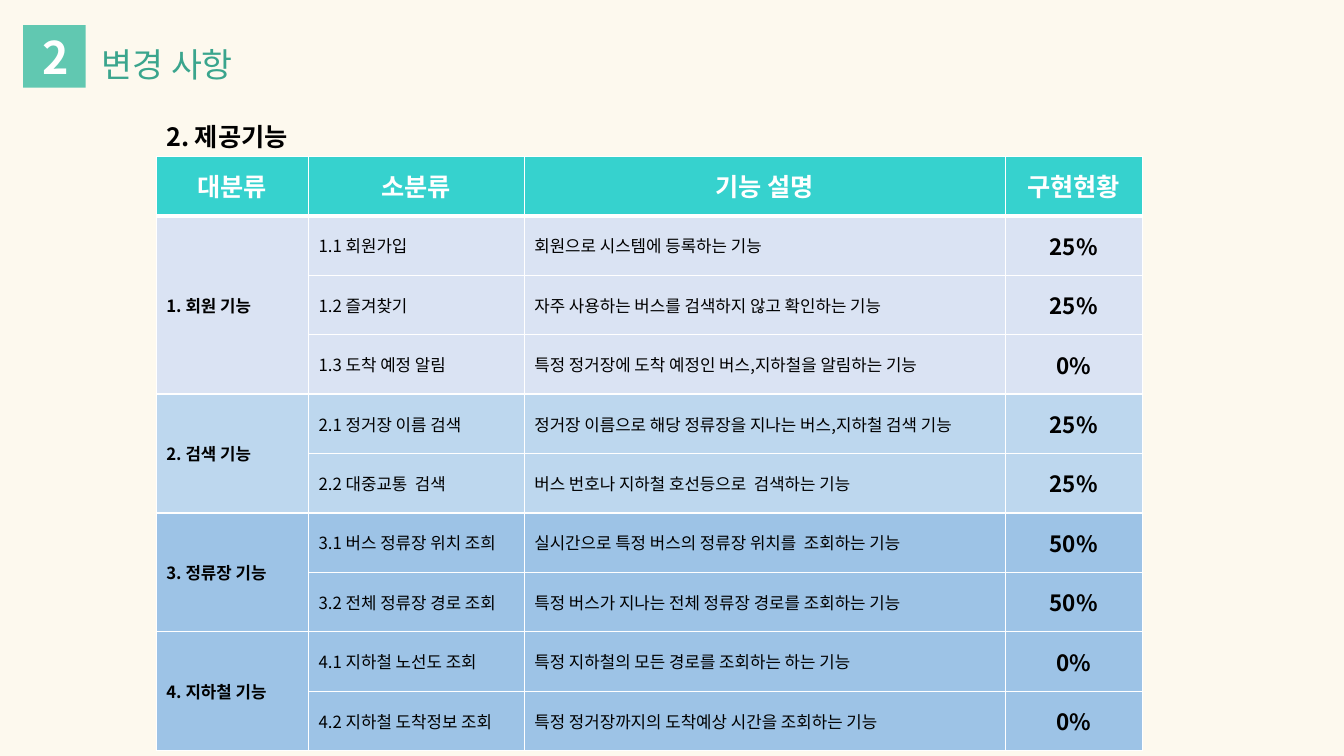
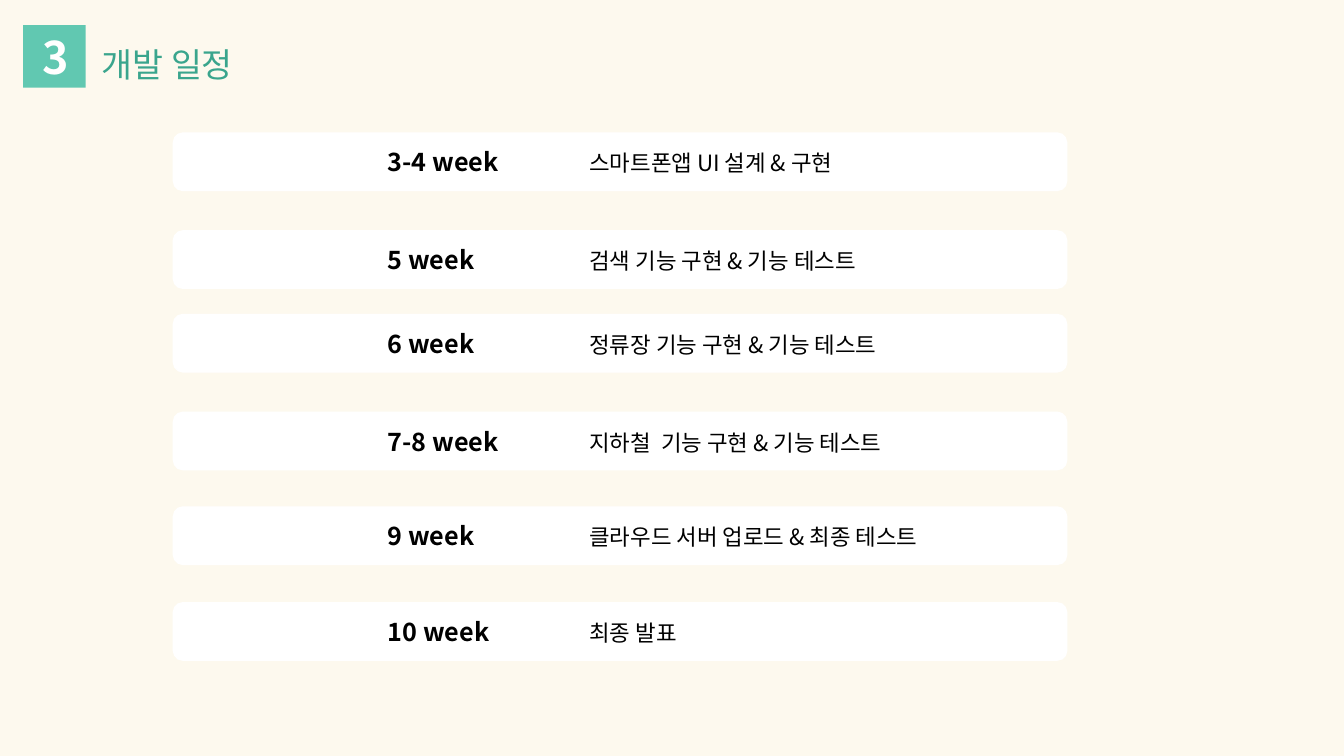
from lxml import etree
from pptx import Presentation
from pptx.dml.color import RGBColor
from pptx.enum import shapes, text
from pptx.oxml.ns import qn
from pptx.util import Inches, Pt

FONT = "Noto Sans CJK KR"
C = {"cream": "FDF9EE", "mint": "61C8B1", "title": "3AA58D", "white": "FFFFFF",
     "black": "000000", "header": "36D2CE", "member": "DAE3F3",
     "search": "BDD7EE", "transit": "9DC3E6"}

HEADINGS = [("2", "변경 사항"), ("3", "개발 일정")]
COLUMNS = [("대분류", 1.51), ("소분류", 2.14), ("기능 설명", 4.77), ("구현현황", 1.36)]
FEATURES = [
    ("1. 회원 기능", "member", [
        ("1.1 회원가입", "회원으로 시스템에 등록하는 기능", "25%"),
        ("1.2 즐겨찾기", "자주 사용하는 버스를 검색하지 않고 확인하는 기능", "25%"),
        ("1.3 도착 예정 알림", "특정 정거장에 도착 예정인 버스,지하철을 알림하는 기능", "0%")]),
    ("2. 검색 기능", "search", [
        ("2.1 정거장 이름 검색", "정거장 이름으로 해당 정류장을 지나는 버스,지하철 검색 기능", "25%"),
        ("2.2 대중교통  검색", "버스 번호나 지하철 호선등으로  검색하는 기능", "25%")]),
    ("3. 정류장 기능", "transit", [
        ("3.1 버스 정류장 위치 조희", "실시간으로 특정 버스의 정류장 위치를  조회하는 기능", "50%"),
        ("3.2 전체 정류장 경로 조회", "특정 버스가 지나는 전체 정류장 경로를 조회하는 기능", "50%")]),
    ("4. 지하철 기능", "transit", [
        ("4.1 지하철 노선도 조회", "특정 지하철의 모든 경로를 조회하는 하는 기능", "0%"),
        ("4.2 지하철 도착정보 조회", "특정 정거장까지의 도착예상 시간을 조회하는 기능", "0%")]),
]
WEEKS = [
    (1.32, "3-4 week", "스마트폰앱 UI 설계 & 구현"),
    (2.29, "5 week", "검색 기능 구현 & 기능 테스트"),
    (3.12, "6 week", "정류장 기능 구현 & 기능 테스트"),
    (4.09, "7-8 week", "지하철  기능 구현 & 기능 테스트"),
    (5.03, "9 week", "클라우드 서버 업로드 & 최종 테스트"),
    (5.98, "10 week", "최종 발표"),
]


def add_run(p, words, size, color="black", bold=False):
    r = p.add_run()
    r.text = words
    r.font.size = Pt(size)
    r.font.bold = bold
    r.font.name = FONT
    r.font.color.rgb = RGBColor.from_string(C[color])
    rpr = r.font._element
    etree.SubElement(rpr, qn("a:ea")).set("typeface", FONT)
    return rpr


def add_text(s, box, words, size, color, bold=False, wrap=False):
    tf = s.shapes.add_textbox(*map(Inches, box)).text_frame
    tf.word_wrap = wrap
    tf.auto_size = text.MSO_AUTO_SIZE.SHAPE_TO_FIT_TEXT
    p = tf.paragraphs[0]
    return p, add_run(p, words, size, color, bold)


prs = Presentation()
prs.slide_width, prs.slide_height = Inches(13.33), Inches(7.5)

# Background, number badge and title of every slide
slides = []
for number, title in HEADINGS:
    s = prs.slides.add_slide(prs.slide_layouts[6])
    s.background.fill.solid()
    s.background.fill.fore_color.rgb = RGBColor.from_string(C["cream"])
    add_text(s, (0.91, 0.39, 1.62, 0.5), title, 24, "title")
    badge = s.shapes.add_shape(shapes.MSO_SHAPE.RECTANGLE, Inches(0.23), Inches(0.25),
                               Inches(0.62), Inches(0.62))
    badge.shadow.inherit = False
    badge.fill.solid()
    badge.fill.fore_color.rgb = RGBColor.from_string(C["mint"])
    badge.line.fill.background()
    p, rpr = add_text(s, (0.32, 0.25, 0.41, 0.64), number, 32, "white", bold=True)
    p.alignment = text.PP_ALIGN.CENTER
    rpr.set("spc", "-150")
    slides.append(s)
features_slide, schedule_slide = slides

# Feature table
add_text(features_slide, (1.55, 1.15, 5.55, 0.4), "2. 제공기능", 18, "black",
         bold=True, wrap=True)
rows = [([name for name, _ in COLUMNS], "header")]
merges = []
for group, fill, items in FEATURES:
    merges.append((len(rows), len(rows) + len(items) - 1))
    for i, item in enumerate(items):
        rows.append(([group if i == 0 else "", *item], fill))

table = features_slide.shapes.add_table(len(rows), len(COLUMNS), Inches(1.55), Inches(1.55),
                                        Inches(9.78), Inches(5.89)).table
for column, (_, width) in zip(table.columns, COLUMNS):
    column.width = Inches(width)
for row in table.rows:
    row.height = Inches(0.59)

for i, (words, fill) in enumerate(rows):
    for j, word in enumerate(words):
        cell = table.cell(i, j)
        cell.vertical_anchor = text.MSO_ANCHOR.MIDDLE
        tcpr = cell._tc.get_or_add_tcPr()
        for side in ("L", "R", "T", "B"):
            thick = (i, side) in ((0, "B"), (1, "T"))
            ln = etree.SubElement(tcpr, qn(f"a:ln{side}"), w=str(Pt(3 if thick else 1)))
            line_fill = etree.SubElement(ln, qn("a:solidFill"))
            etree.SubElement(line_fill, qn("a:srgbClr"), val=C["white"])
        cell.fill.solid()
        cell.fill.fore_color.rgb = RGBColor.from_string(C[fill])
        if not word:
            continue
        p = cell.text_frame.paragraphs[0]
        if i == 0 or j == 3:
            p.alignment = text.PP_ALIGN.CENTER
        size = 18 if i == 0 else 16 if j == 3 else 12
        add_run(p, word, size, "white" if i == 0 else "black", bold=i == 0 or j in (0, 3))
for first, last in merges:
    table.cell(first, 0).merge(table.cell(last, 0))

# Weekly schedule
for top, week, task in WEEKS:
    sp = schedule_slide.shapes.add_shape(shapes.MSO_SHAPE.ROUNDED_RECTANGLE, Inches(1.72),
                                         Inches(top), Inches(8.86), Inches(0.57))
    sp.shadow.inherit = False
    sp.fill.solid()
    sp.fill.fore_color.rgb = RGBColor.from_string(C["white"])
    sp.line.color.rgb = RGBColor.from_string(C["white"])
    sp.line.width = Pt(1)
    tf = sp.text_frame
    tf.word_wrap = True
    tf.vertical_anchor = text.MSO_ANCHOR.MIDDLE
    p = tf.paragraphs[0]
    p.alignment = text.PP_ALIGN.LEFT
    tabs = etree.SubElement(p._p.get_or_add_pPr(), qn("a:tabLst"))
    for stop in (2, 4):
        etree.SubElement(tabs, qn("a:tab"), pos=str(Inches(stop)), algn="l")
    add_run(p, f"\t{week}\t", 18, bold=True)
    add_run(p, task, 16)

prs.save("out.pptx")
